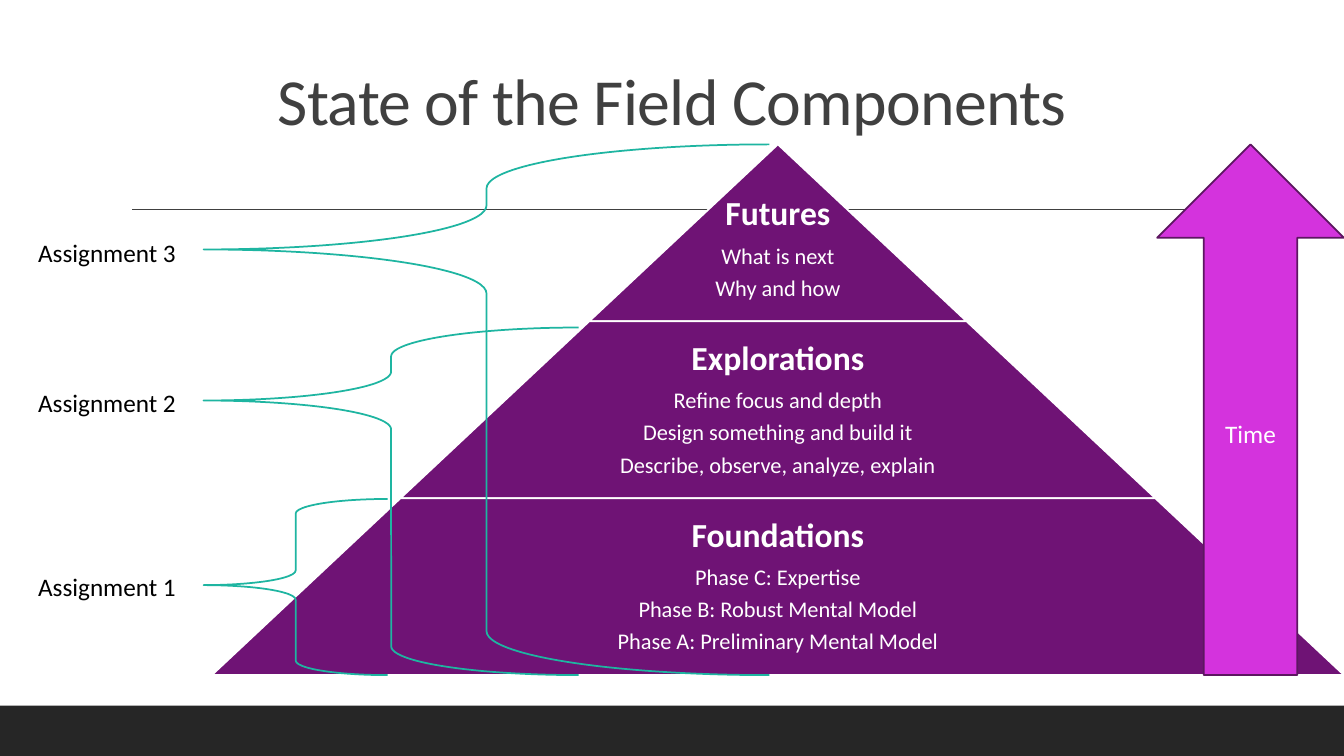
from pptx import Presentation
from pptx import util as u
from pptx.dml.color import RGBColor
from pptx.enum import shapes, text
from pptx.oxml.ns import qn

SHAPE = shapes.MSO_SHAPE
ANCHOR = text.MSO_ANCHOR
ALIGN = text.PP_ALIGN


def color(hex_string):
    return RGBColor.from_string(hex_string)


def write(p, content, size=18, ink="000000", bold=False, align=ALIGN.LEFT,
          spacing=None, after=None, tracking=None):
    """Put one formatted run into a paragraph."""
    p.alignment = align
    p.line_spacing = spacing
    if after is not None:
        p.space_after = u.Pt(after)
    r = p.add_run()
    r.text = content
    r.font.name = "Calibri"
    r.font.size = u.Pt(size)
    r.font.bold = bold
    r.font.color.rgb = color(ink)
    if tracking is not None:
        r.font._element.set("spc", str(int(tracking * 100)))


class Deck:
    """Holds the style and the slide; lengths are percentages of the slide."""
    purple, magenta, plum = "6F1375", "D433DD", "5D1661"
    teal, white, gray, dark = "1EB5A1", "FFFFFF", "404040", "262626"
    stroke = 1.25

    def __init__(self):
        self.prs = Presentation()
        self.prs.slide_width = u.Inches(13.333)
        self.prs.slide_height = u.Inches(7.5)
        self.slide = self.prs.slides.add_slide(self.prs.slide_layouts[6])

    def box(self, left, top, width, height):
        w, h = self.prs.slide_width, self.prs.slide_height
        return [int(share * side / 100)
                for share, side in ((left, w), (top, h), (width, w), (height, h))]

    def shape(self, kind, at, fill=None, line=None, adjust=()):
        sp = self.slide.shapes.add_shape(kind, *self.box(*at))
        sp.shadow.inherit = False
        for i, value in enumerate(adjust):
            sp.adjustments[i] = value
        if fill:
            sp.fill.solid()
            sp.fill.fore_color.rgb = color(fill)
        else:
            sp.fill.background()
        if line:
            sp.line.color.rgb = color(line)
            sp.line.width = u.Pt(self.stroke)
        else:
            sp.line.fill.background()
        return sp

    def rule(self, x1, x2, y):
        begin_x, begin_y, width, _ = self.box(x1, y, x2 - x1, 0)
        line = self.slide.shapes.add_connector(
            shapes.MSO_CONNECTOR.STRAIGHT, begin_x, begin_y, begin_x + width, begin_y)
        line.line.color.rgb = color(self.gray)
        line.line.width = u.Pt(1)
        sp_pr = line._element.spPr
        sp_pr.append(sp_pr.makeelement(qn("a:effectLst"), {}))

    def textbox(self, at, anchor=ANCHOR.TOP):
        tf = self.slide.shapes.add_textbox(*self.box(*at)).text_frame
        tf.word_wrap = True
        tf.vertical_anchor = anchor
        return tf

    def tier(self, at, heading, lines, drop):
        self.shape(SHAPE.TRAPEZOID, at, self.purple, self.white, [1.067])
        left, top, width, height = at
        tf = self.textbox((left + width * 0.175, top, width * 0.65, height), ANCHOR.MIDDLE)
        tf.margin_left = tf.margin_right = tf.margin_bottom = u.Inches(0.03)
        tf.margin_top = u.Inches(0.03 + drop)
        for i, content in enumerate([heading, *lines]):
            p = tf.add_paragraph() if i else tf.paragraphs[0]
            size = 16 if i else 24
            write(p, content, size, self.white, bold=not i, align=ALIGN.CENTER,
                  spacing=0.9, after=0.35 * size)

    def brace(self, at, point):
        self.shape(SHAPE.LEFT_BRACE, at, line=self.teal, adjust=[0.083, point])


def main():
    deck = Deck()

    # Footer band, rule and title
    deck.shape(SHAPE.RECTANGLE, (0, 93.33, 100, 6.67), deck.dark)
    deck.rule(9.83, 91.58, 27.75)
    tf = deck.textbox((6.9, 5.33, 86.25, 13.87), ANCHOR.BOTTOM)
    write(tf.paragraphs[0], "State of the Field Components", 47, deck.gray,
          align=ALIGN.CENTER, spacing=0.9, tracking=-0.5)

    # Pyramid: each tier is one step wider than the one above
    apex, top, tier_height, step = 57.88, 19.1, 23.4, 28.08
    base = top + 3 * tier_height
    tiers = [
        ("Futures", ["What is next", "Why and how"], 0.32),
        ("Explorations", ["Refine focus and depth", "Design something and build it",
                          "Describe, observe, analyze, explain"], 0),
        ("Foundations", ["Phase C: Expertise", "Phase B: Robust Mental Model",
                         "Phase A: Preliminary Mental Model"], 0),
    ]
    for i, (heading, lines, drop) in enumerate(tiers):
        width = step * (i + 1)
        deck.tier((apex - width / 2, top + i * tier_height, width, tier_height),
                  heading, lines, drop)

    # Assignments: brace top, pointer position, label top
    assignments = [(66, 0.489, 74.93), (43.33, 0.21, 50.53), (top, 0.198, 30.8)]
    for n, (brace_top, point, label_top) in enumerate(assignments, 1):
        deck.brace((15.15, brace_top, 14.2 * n - 0.5, base - brace_top), point)
        tf = deck.textbox((2.1, label_top, 12.6, 5.33))
        write(tf.paragraphs[0], f"Assignment {n}")

    # Time arrow
    arrow = deck.shape(SHAPE.UP_ARROW, (86.1, top, 13.9, base - top),
                       deck.magenta, deck.plum)
    arrow.text_frame.vertical_anchor = ANCHOR.MIDDLE
    write(arrow.text_frame.paragraphs[0], "Time", ink=deck.white, align=ALIGN.CENTER)

    deck.prs.save("out.pptx")


if __name__ == "__main__":
    main()
